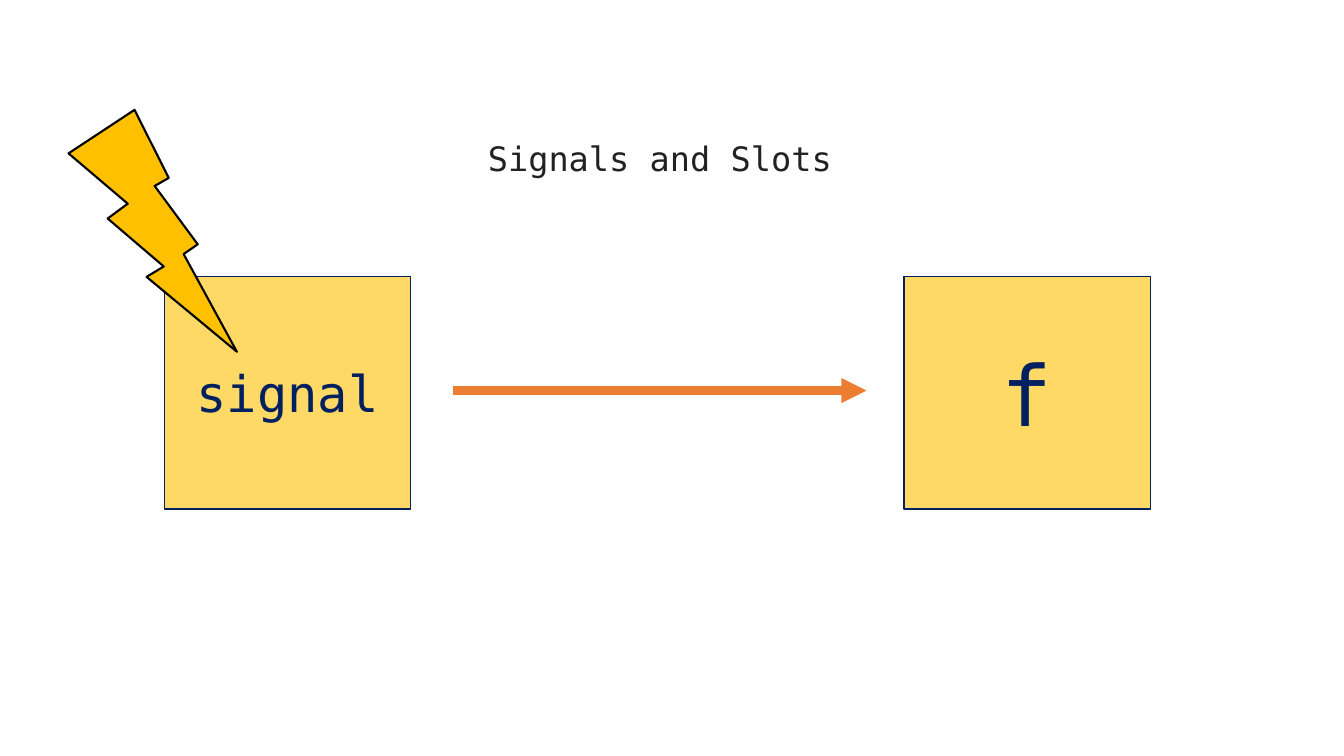
import pptx
import pptx.dml.color
import pptx.enum.shapes
import pptx.enum.text
import pptx.oxml.ns
import pptx.util
from lxml import etree

SHAPES = pptx.enum.shapes.MSO_SHAPE
INCH = pptx.util.Inches
FONT = "DejaVu Sans Mono"
NAVY = "002060"


def color(hex_code):
    return pptx.dml.color.RGBColor.from_string(hex_code)


def write(sp, text, size, hex_code):
    tf = sp.text_frame
    tf.word_wrap = True
    p = tf.paragraphs[0]
    p.text = text
    p.alignment = pptx.enum.text.PP_ALIGN.CENTER
    p.font.name = FONT
    p.font.size = pptx.util.Pt(size)
    p.font.color.rgb = color(hex_code)


def add_title(s, box, text):
    sp = s.shapes.add_textbox(*map(INCH, box))
    write(sp, text, 24, "222222")
    sp.text_frame.auto_size = pptx.enum.text.MSO_AUTO_SIZE.SHAPE_TO_FIT_TEXT


def add_filled(s, kind, box, fill, line, width):
    sp = s.shapes.add_shape(kind, *map(INCH, box))
    sp.shadow.inherit = False
    sp.fill.solid()
    sp.fill.fore_color.rgb = color(fill)
    sp.line.color.rgb = color(line)
    sp.line.width = pptx.util.Pt(width)
    return sp


def add_node(s, box, text, size):
    sp = add_filled(s, SHAPES.RECTANGLE, box, "FFD966", NAVY, 1)
    sp.text_frame.vertical_anchor = pptx.enum.text.MSO_ANCHOR.MIDDLE
    write(sp, text, size, NAVY)


def add_arrow(s, x1, x2, y):
    straight = pptx.enum.shapes.MSO_CONNECTOR.STRAIGHT
    arrow = s.shapes.add_connector(straight, *map(INCH, (x1, y, x2, y)))
    arrow.line.color.rgb = color("ED7D31")
    arrow.line.width = pptx.util.Pt(6)
    qn = pptx.oxml.ns.qn
    sp_pr = arrow._element.spPr
    etree.SubElement(sp_pr.find(qn("a:ln")), qn("a:tailEnd"), type="triangle")
    etree.SubElement(sp_pr, qn("a:effectLst"))


def add_diagram(s, left, top, width, height):
    """Signal box, lightning bolt, slot box and the arrow between them."""
    node_w = width / 4
    slot_left = left + width - node_w
    add_node(s, (left, top, node_w, height), "signal", 36)
    # The bolt strikes the top left corner of the signal box
    bolt = (left - 0.95, top - 1.65, 1.67, 2.4)
    add_filled(s, SHAPES.LIGHTNING_BOLT, bolt, "FFC000", "000000", 1.5)
    add_node(s, (slot_left, top, node_w, height), "f", 60)
    add_arrow(s, left + node_w + 0.42, slot_left - 0.37, top + height / 2 - 0.02)


def main():
    prs = pptx.Presentation()
    prs.slide_width, prs.slide_height = INCH(13.33), INCH(7.5)
    s = prs.slides.add_slide(prs.slide_layouts[6])
    add_title(s, (4.63, 1.32, 3.83, 0.5), "Signals and Slots")
    add_diagram(s, 1.63, 2.74, 9.78, 2.31)
    prs.save("out.pptx")


if __name__ == "__main__":
    main()
